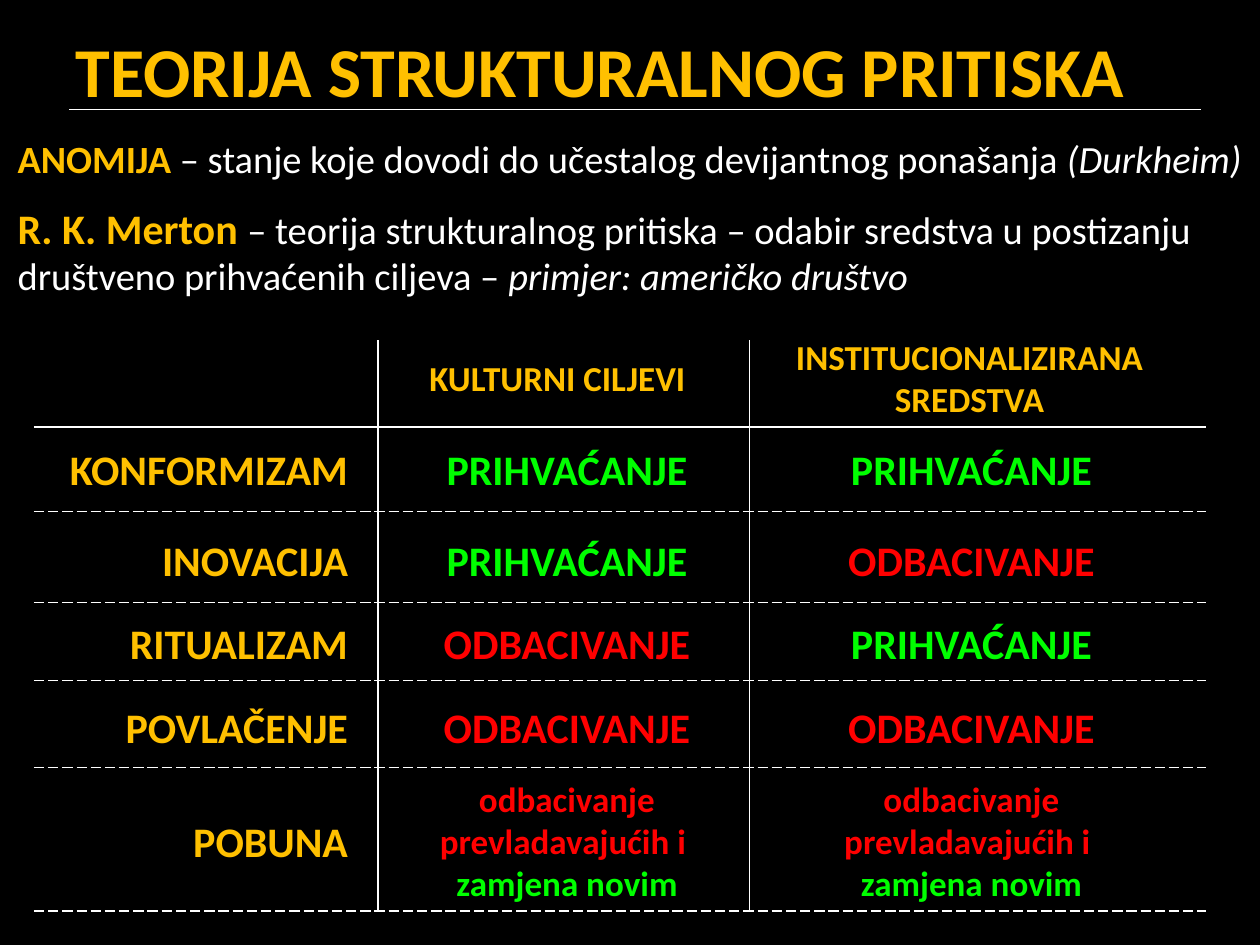
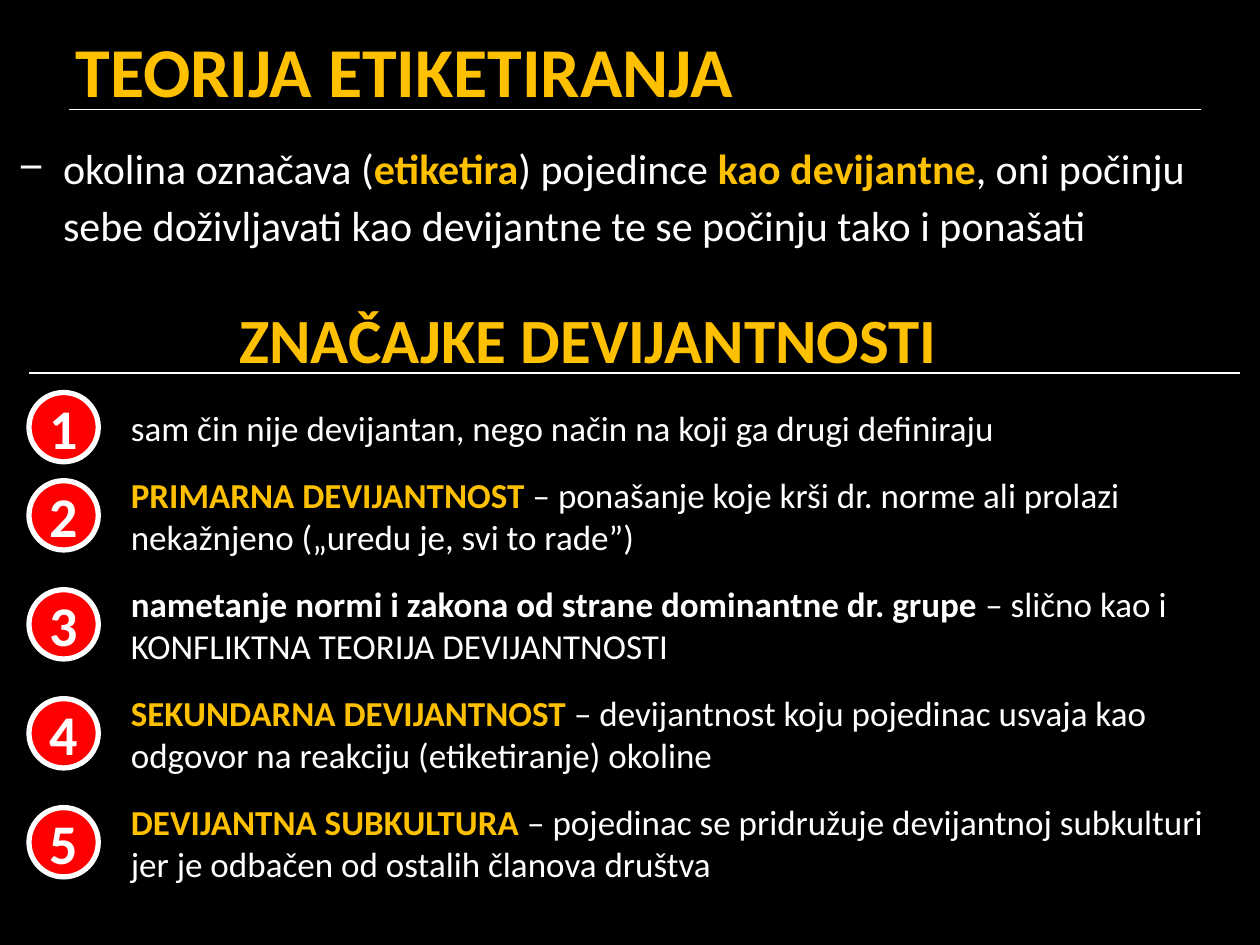
"""Two slides on theories of deviance: structural strain and labelling."""
from lxml import etree
from pptx import Presentation
from pptx import util as u
from pptx.dml.color import RGBColor
from pptx.enum import dml, shapes, text
from pptx.oxml import ns

COLUMNS, ROWS = 100, 75
FONT = "Calibri"
COLOURS = {"black": "000000", "white": "FFFFFF", "gold": "FFC000",
           "green": "00FF00", "red": "FF0000", "bullet": "F9F9F9"}
LEFT, CENTER, RIGHT = text.PP_ALIGN.LEFT, text.PP_ALIGN.CENTER, text.PP_ALIGN.RIGHT
TOP, MIDDLE = text.MSO_ANCHOR.TOP, text.MSO_ANCHOR.MIDDLE


def rgb(name):
    """Return the named colour."""
    return RGBColor.from_string(COLOURS[name])


class Deck:
    """Holds the shared style and the current slide."""

    def __init__(self):
        """Start a black presentation of 10 by 7.5 inches."""
        self.presentation = Presentation()
        self.presentation.slide_width = u.Inches(10)
        self.presentation.slide_height = u.Inches(7.5)
        self.column = self.presentation.slide_width / COLUMNS
        self.row = self.presentation.slide_height / ROWS
        fill = self.presentation.slide_master.background.fill
        fill.solid()
        fill.fore_color.rgb = rgb("black")
        self.slide = None

    def box(self, left, top, width, height):
        """Turn grid columns and rows into slide lengths."""
        return [u.Emu(round(cells * unit)) for cells, unit in
                ((left, self.column), (top, self.row),
                 (width, self.column), (height, self.row))]

    def add_slide(self, title):
        """Add a slide with its title and the rule below it."""
        layout = self.presentation.slide_layouts[1]
        self.slide = self.presentation.slides.add_slide(layout)
        self.line(5.5, 8.7, 95.3, 8.7, weight=1)
        self.place(self.slide.shapes.title, (5, 0.8, 90, 9.5), MIDDLE)
        self.add_runs(self.slide.shapes.title.text_frame.paragraphs[0],
                      [(title, "gold", "b")], 40)

    def place(self, shape, box, anchor):
        """Move a placeholder and fix its text frame."""
        shape.left, shape.top, shape.width, shape.height = self.box(*box)
        frame = shape.text_frame
        frame.word_wrap = True
        frame.auto_size = text.MSO_AUTO_SIZE.NONE
        frame.vertical_anchor = anchor

    def add_runs(self, paragraph, runs, size, align=LEFT):
        """Add runs of (text, colour, flags[, size]); flags are b and i."""
        paragraph.alignment = align
        paragraph.font.name = FONT
        paragraph.font.size = u.Pt(size)
        for words, colour, flags, *own_size in runs:
            run = paragraph.add_run()
            run.text = words.rstrip("\n")
            run.font.color.rgb = rgb(colour)
            run.font.bold = "b" in flags
            run.font.italic = "i" in flags
            if own_size:
                run.font.size = u.Pt(own_size[0])
            if words.endswith("\n"):
                paragraph.add_line_break()

    def body(self, box, paragraphs, size, bullet=None):
        """Fill the body placeholder and return its paragraphs."""
        shape = self.slide.placeholders[1]
        self.place(shape, box, TOP)
        frame = shape.text_frame
        for number, runs in enumerate(paragraphs):
            paragraph = frame.add_paragraph() if number else frame.paragraphs[0]
            self.add_runs(paragraph, runs, size)
            self.bullet(paragraph, bullet)
        return frame.paragraphs

    def bullet(self, paragraph, character):
        """Give a paragraph a hanging bullet, or none."""
        properties = paragraph._p.get_or_add_pPr()
        margin, indent = (6, -3.5) if character else (0, 0)
        properties.set("marL", str(round(margin * self.column)))
        properties.set("indent", str(round(indent * self.column)))
        marks = [etree.Element(ns.qn("a:buChar" if character else "a:buNone"))]
        if character:
            marks[0].set("char", character)
            colour = etree.Element(ns.qn("a:buClr"))
            etree.SubElement(colour, ns.qn("a:srgbClr"), val=COLOURS["bullet"])
            marks.insert(0, colour)
        for mark in marks:
            properties.find(ns.qn("a:defRPr")).addprevious(mark)

    def label(self, box, runs, size, align=LEFT):
        """Add a text box with its text in the middle."""
        shape = self.slide.shapes.add_textbox(*self.box(*box))
        shape.text_frame.word_wrap = True
        shape.text_frame.vertical_anchor = MIDDLE
        self.add_runs(shape.text_frame.paragraphs[0], runs, size, align)

    def line(self, left, top, right, bottom, weight=0.75, dashed=False):
        """Draw a straight white line."""
        connector = self.slide.shapes.add_connector(
            shapes.MSO_CONNECTOR.STRAIGHT, *self.box(left, top, right, bottom))
        connector.line.color.rgb = rgb("white")
        connector.line.width = u.Pt(weight)
        if dashed:
            connector.line.dash_style = dml.MSO_LINE.LONG_DASH
        etree.SubElement(connector._element.spPr, ns.qn("a:effectLst"))

    def badge(self, left, middle, number, side=5.5):
        """Add a red circle with a number."""
        shape = self.slide.shapes.add_shape(
            shapes.MSO_SHAPE.OVAL, *self.box(left, middle - side / 2, side, side))
        shape.shadow.inherit = False
        shape.fill.solid()
        shape.fill.fore_color.rgb = rgb("red")
        shape.line.color.rgb = rgb("white")
        shape.line.width = u.Pt(3)
        frame = shape.text_frame
        frame.margin_left = frame.margin_right = 0
        frame.margin_top = frame.margin_bottom = 0
        frame.vertical_anchor = MIDDLE
        self.add_runs(frame.paragraphs[0], [(str(number), "white", "b")], 32, CENTER)


def strain_slide(deck):
    """Build the slide on structural strain with its grid of adaptations."""
    deck.add_slide("TEORIJA STRUKTURALNOG PRITISKA")
    paragraphs = deck.body((0.4, 10.2, 99.6, 15.5), [
        [("ANOMIJA", "gold", "b"),
         (" – stanje koje dovodi do učestalog devijantnog ponašanja ", "white", ""),
         ("(Durkheim)", "white", "i")],
        [("R. K. Merton ", "gold", "b", 24),
         ("– teorija strukturalnog pritiska – odabir sredstva u postizanju "
          "društveno prihvaćenih ciljeva – ", "white", ""),
         ("primjer: američko društvo", "white", "i")]], 22)
    paragraphs[1].space_before = u.Pt(12)

    # Each answer: runs, text size, box width and height
    accept = [("PRIHVAĆANJE", "green", "b")], 24, 25.8, 5
    reject = [("ODBACIVANJE", "red", "b")], 24, 28, 5
    replace = [("odbacivanje prevladavajućih i \n", "red", "b"),
               ("zamjena novim", "green", "b")], 20, 32, 11.1
    # Each row: name, middle, rule below, label height, answers
    adaptations = [
        ("KONFORMIZAM", 37.2, 40.6, 6.3, (accept, accept)),
        ("INOVACIJA", 44.4, 47.8, 6.3, (accept, reject)),
        ("RITUALIZAM", 51, 54, 6.3, (reject, accept)),
        ("POVLAČENJE", 57.7, 60.9, 6.3, (reject, reject)),
        ("POBUNA", 66.7, 72.3, 10.2, (replace, replace))]
    left, right, bottom = 2.7, 95.7, adaptations[-1][2]

    deck.line(left, 33.9, right, 33.9)
    for divider in (30, 59.5):
        deck.line(divider, 27, divider, bottom)
    for heading, start, width in (("KULTURNI CILJEVI", 30.6, 27.3),
                                  ("INSTITUCIONALIZIRANA SREDSTVA", 58.2, 37.5)):
        deck.label((start, 26.5, width, 7), [(heading, "gold", "b")], 20, CENTER)
    for name, middle, rule, height, answers in adaptations:
        deck.label((4.4, middle - height / 2, 24.2, height),
                   [(name, "gold", "b")], 24, RIGHT)
        deck.line(left, rule, right, rule, dashed=True)
        for center, (runs, size, width, tall) in zip((45, 77.1), answers):
            deck.label((center - width / 2, middle - tall / 2, width, tall),
                       runs, size, CENTER)


def labelling_slide(deck):
    """Build the slide on labelling with its five numbered features."""
    deck.add_slide("TEORIJA ETIKETIRANJA")
    paragraph = deck.body((-2, 10.2, 101.2, 8.4), [
        [("okolina označava (", "white", ""), ("etiketira", "gold", "b"),
         (") pojedince ", "white", ""), ("kao devijantne", "gold", "b"),
         (", oni počinju sebe doživljavati kao devijantne te se počinju "
          "tako i ponašati", "white", "")]], 24, bullet="−")[0]
    paragraph.line_spacing = u.Pt(33)
    paragraph.space_before = u.Pt(12)

    deck.label((18, 23.3, 58, 7.1), [("ZNAČAJKE DEVIJANTNOSTI", "gold", "b")], 36)
    deck.line(2.3, 29.6, 98.4, 29.6)
    features = [
        [("sam čin nije devijantan, nego način na koji ga drugi definiraju",
          "white", "")],
        [("PRIMARNA DEVIJANTNOST ", "gold", "b"),
         ("– ponašanje koje krši dr. norme ali prolazi nekažnjeno "
          "(„uredu je, svi to rade”)", "white", "")],
        [("nametanje normi i zakona od strane dominantne dr. grupe ", "white", "b"),
         ("– slično kao i KONFLIKTNA TEORIJA DEVIJANTNOSTI", "white", "")],
        [("SEKUNDARNA DEVIJANTNOST ", "gold", "b"),
         ("– devijantnost koju pojedinac usvaja kao odgovor na reakciju "
          "(etiketiranje) okoline", "white", "")],
        [("DEVIJANTNA SUBKULTURA ", "gold", "b"),
         ("– pojedinac se pridružuje devijantnoj subkulturi jer je odbačen "
          "od ostalih članova društva", "white", "")]]
    for number, runs in enumerate(features, 1):
        # The first feature is one line; the others are evenly spaced pairs
        single = number == 1
        middle = 33.9 if single else 40.9 + 8.65 * (number - 2)
        width, height = (71.2, 4.4) if single else (89.8, 7.7)
        deck.badge(2.3, middle, number)
        deck.label((9.4, middle - height / 2, width, height), runs, 20)


deck = Deck()
strain_slide(deck)
labelling_slide(deck)
deck.presentation.save("out.pptx")
